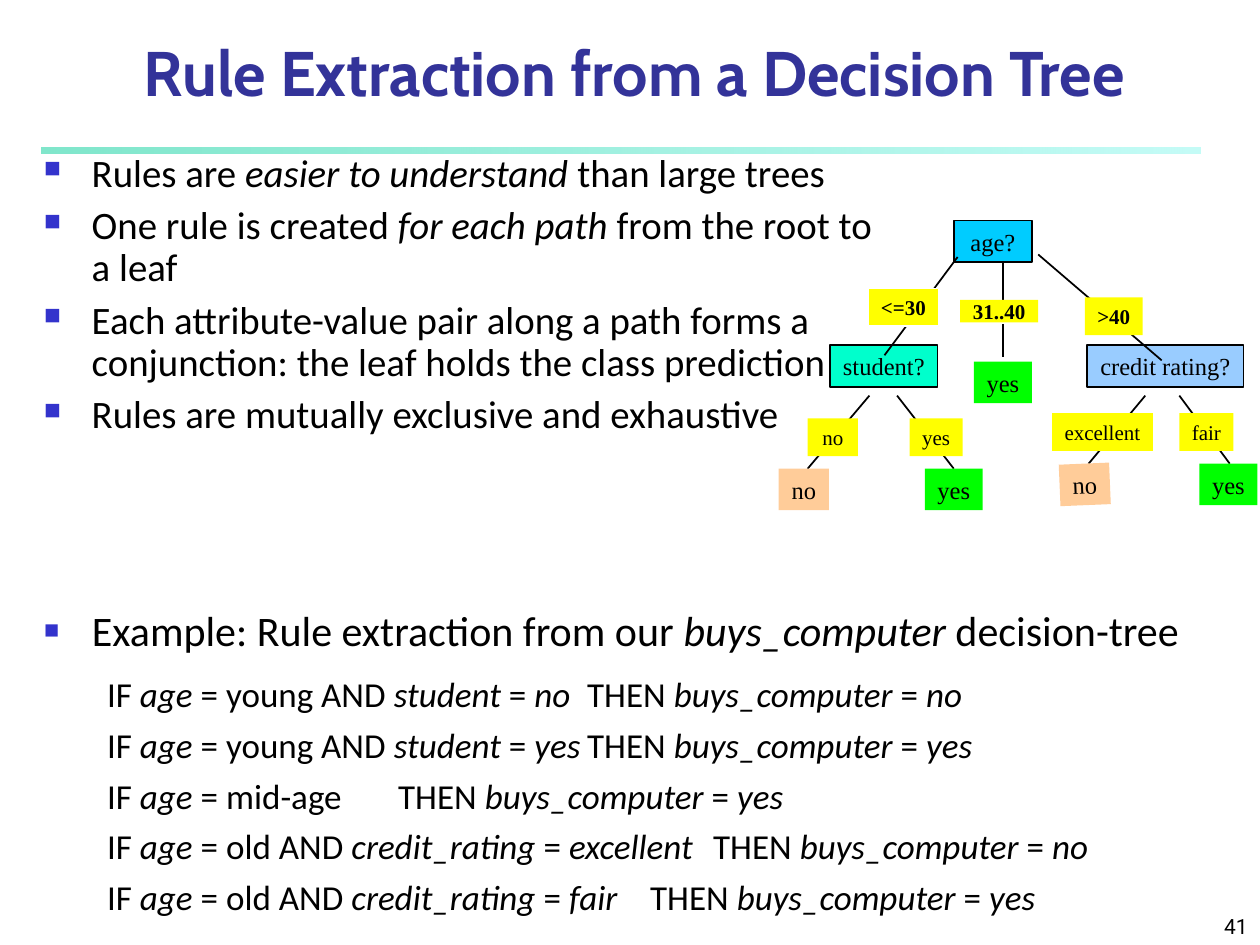
from dataclasses import dataclass
from typing import NamedTuple

from lxml.etree import SubElement
from pptx import Presentation
from pptx.dml.color import RGBColor
from pptx.enum.shapes import MSO_CONNECTOR, MSO_SHAPE
from pptx.enum.text import MSO_ANCHOR, MSO_AUTO_SIZE, PP_ALIGN
from pptx.oxml.ns import qn
from pptx.util import Inches, Pt


@dataclass(frozen=True)
class Theme:
    title: str = "333399"
    bullet: str = "3333CC"
    ink: str = "000000"
    white: str = "FFFFFF"
    root: str = "00CCFF"
    student: str = "00FFCC"
    credit: str = "99CCFF"
    branch: str = "FFFF00"
    good: str = "00FF00"
    bad: str = "FFCC99"
    fade: tuple = (("00CE98", 50), ("8FF9EF", 52))
    head: str = "Cabin"
    body: str = "Calibri"
    tree: str = "Times New Roman"
    page: str = "Roboto"
    head_size: float = 36
    lead_size: float = 24
    list_size: float = 22.2
    rule_size: float = 20
    node_size: float = 14
    note_size: float = 12


class Node(NamedTuple):
    text: str
    left: float
    top: float
    width: float
    fill: str
    height: float = 0.33
    size: float = 14
    bold: bool = False
    line: str = ""
    turn: float = 0


class Edge(NamedTuple):
    x1: float
    y1: float
    x2: float
    y2: float


class Rule(NamedTuple):
    cause: str
    result: str
    tab: float


T = Theme()


def rgb(code: str) -> RGBColor:
    return RGBColor.from_string(code)


def style(run, font: str, size: float, color: str = T.ink, bold: bool = False) -> None:
    run.font.name = font
    run.font.size = Pt(size)
    run.font.color.rgb = rgb(color)
    run.font.bold = bold


def place(shape, left: float, top: float, width: float, height: float) -> None:
    shape.left, shape.top = Inches(left), Inches(top)
    shape.width, shape.height = Inches(width), Inches(height)


def write(para, text: str, size: float) -> None:
    for i, part in enumerate(text.split("*")):
        if part:
            run = para.add_run()
            run.text = part
            style(run, T.body, size)
            run.font.italic = i % 2 == 1


def indent(para, left: float, first: float):
    props = para._p.get_or_add_pPr()
    props.set("marL", str(Inches(left)))
    props.set("indent", str(Inches(first)))
    return props


def add_bullet(para) -> None:
    props = indent(para, 0.38, -0.38)
    SubElement(SubElement(props, qn("a:buClr")), qn("a:srgbClr"), val=T.bullet)
    SubElement(props, qn("a:buSzPct"), val="60000")
    SubElement(props, qn("a:buChar"), char="■")


def add_tab(para, spot: float) -> None:
    props = indent(para, 0.81, -0.31)
    SubElement(props, qn("a:buNone"))
    tabs = SubElement(props, qn("a:tabLst"))
    SubElement(tabs, qn("a:tab"), pos=str(Inches(spot)), algn="l")


def add_node(shapes, node: Node) -> None:
    box = shapes.add_shape(MSO_SHAPE.RECTANGLE, Inches(node.left), Inches(node.top),
                           Inches(node.width), Inches(node.height))
    box.shadow.inherit = False
    box.rotation = node.turn
    box.fill.solid()
    box.fill.fore_color.rgb = rgb(node.fill)
    if node.line:
        box.line.color.rgb = rgb(node.line)
        box.line.width = Pt(1)
    else:
        box.line.fill.background()
    frame = box.text_frame
    frame.word_wrap = False
    frame.vertical_anchor = MSO_ANCHOR.MIDDLE
    frame.text = node.text
    para = frame.paragraphs[0]
    para.alignment = PP_ALIGN.CENTER
    style(para.runs[0], T.tree, node.size, bold=node.bold)


def add_edge(shapes, edge: Edge) -> None:
    line = shapes.add_connector(MSO_CONNECTOR.STRAIGHT, *map(Inches, edge))
    line.line.color.rgb = rgb(T.ink)
    line.line.width = Pt(1)
    SubElement(line._element.spPr, qn("a:effectLst"))


def add_bar(shapes) -> None:
    bar = shapes.add_shape(MSO_SHAPE.RECTANGLE, Inches(0.33), Inches(1.17), Inches(9.2), Inches(0.05))
    bar.shadow.inherit = False
    bar.line.fill.background()
    bar.fill.gradient()
    bar.fill.gradient_angle = 0
    for stop, (color, alpha) in zip(bar.fill.gradient_stops, T.fade):
        stop.color.rgb = rgb(color)
    for mark, (color, alpha) in zip(bar._element.spPr.iter(qn("a:srgbClr")), T.fade):
        SubElement(mark, qn("a:alpha"), val=str(alpha * 1000))


def label(text: str, left: float, top: float, width: float, height: float = 0.3,
          bold: bool = False, line: str = "") -> Node:
    return Node(text, left, top, width, T.branch, height, T.note_size, bold, line)


TESTS = [
    Node("age?", 7.57, 1.75, 0.62, T.root, line=T.ink),
    Node("student?", 6.59, 2.74, 0.85, T.student, line=T.ink),
    Node("credit rating?", 8.63, 2.74, 1.24, T.credit, line=T.ink),
]
EDGES = [
    Edge(7.6, 2.04, 7.02, 2.82), Edge(7.96, 2.07, 7.96, 2.39), Edge(8.24, 2.02, 9.22, 2.86),
    Edge(6.9, 3.14, 6.41, 3.72), Edge(7.12, 3.14, 7.57, 3.72), Edge(9.09, 3.14, 8.64, 3.68),
    Edge(9.36, 3.14, 9.76, 3.68), Edge(7.96, 2.57, 7.96, 2.83),
]
LEAVES = [
    label("<=30", 6.89, 2.29, 0.56, bold=True, line=T.white),
    label(">40", 8.61, 2.36, 0.46, bold=True),
    Node("no", 6.18, 3.72, 0.4, T.bad),
    Node("yes", 7.34, 3.72, 0.46, T.good),
    Node("yes", 9.52, 3.68, 0.46, T.good),
    Node("yes", 7.73, 2.87, 0.46, T.good),
    label("31..40", 7.62, 2.38, 0.62, 0.18, bold=True),
    Node("no", 8.41, 3.68, 0.4, T.bad, turn=357.6),
    label("fair", 9.36, 3.28, 0.43),
    label("excellent", 8.35, 3.28, 0.8),
    label("yes", 7.22, 3.32, 0.42),
    label("no", 6.41, 3.32, 0.4),
]
POINTS = [
    "Rules are *easier to understand* than large trees",
    "One rule is created *for each path* from the root to a leaf",
    "Each attribute-value pair along a path forms a conjunction: the leaf holds the class prediction",
    "Rules are mutually exclusive and exhaustive",
]
RULES = [
    Rule("young AND *student* = *no*", "no", 4.44),
    Rule("young AND *student* = *yes*", "yes", 4.45),
    Rule("mid-age", "yes", 4.25),
    Rule("old AND *credit_rating* = *excellent*", "no", 4.47),
    Rule("old AND *credit_rating* = *fair*", "yes", 4.49),
]


def main() -> None:
    deck = Presentation()
    deck.slide_width, deck.slide_height = Inches(10), Inches(7.5)
    slide = deck.slides.add_slide(deck.slide_layouts[1])
    shapes = slide.shapes
    add_bar(shapes)

    title = shapes.title
    place(title, 0.23, 0.25, 9.61, 0.67)
    title.text_frame.auto_size = MSO_AUTO_SIZE.NONE
    title.text_frame.vertical_anchor = MSO_ANCHOR.BOTTOM
    title.text_frame.text = "Rule Extraction from a Decision Tree"
    style(title.text_frame.paragraphs[0].runs[0], T.head, T.head_size, T.title, True)

    page = shapes.add_textbox(Inches(7.92), Inches(7.08), Inches(2.08), Inches(0.42)).text_frame
    page.word_wrap = True
    page.vertical_anchor = MSO_ANCHOR.BOTTOM
    page.text = "41"
    page.paragraphs[0].alignment = PP_ALIGN.RIGHT
    style(page.paragraphs[0].runs[0], T.page, T.note_size)

    tree = shapes.add_group_shape().shapes
    for node in TESTS:
        add_node(tree, node)
    for edge in EDGES:
        add_edge(tree, edge)
    for node in LEAVES:
        add_node(tree, node)

    body = slide.placeholders[1]
    place(body, 0.25, 4.75, 9.58, 2.58)
    frame = body.text_frame
    frame.auto_size = MSO_AUTO_SIZE.NONE
    lead = frame.paragraphs[0]
    add_bullet(lead)
    lead.space_before = Pt(0)
    write(lead, "Example: Rule extraction from our *buys_computer* decision-tree", T.lead_size)
    for i, rule in enumerate(RULES):
        para = frame.add_paragraph()
        para.level = 1
        add_tab(para, rule.tab)
        para.space_before = Pt(5 if i else 10)
        write(para, f"IF *age* = {rule.cause}\tTHEN *buys_computer* = *{rule.result}*", T.rule_size)

    frame = shapes.add_textbox(Inches(0.25), Inches(1.17), Inches(6.83), Inches(3.5)).text_frame
    frame.word_wrap = True
    for i, point in enumerate(POINTS):
        para = frame.add_paragraph() if i else frame.paragraphs[0]
        add_bullet(para)
        para.line_spacing = 0.9
        para.space_before = Pt(6 if i else 0)
        write(para, point, T.list_size)

    deck.save("out.pptx")


if __name__ == "__main__":
    main()
